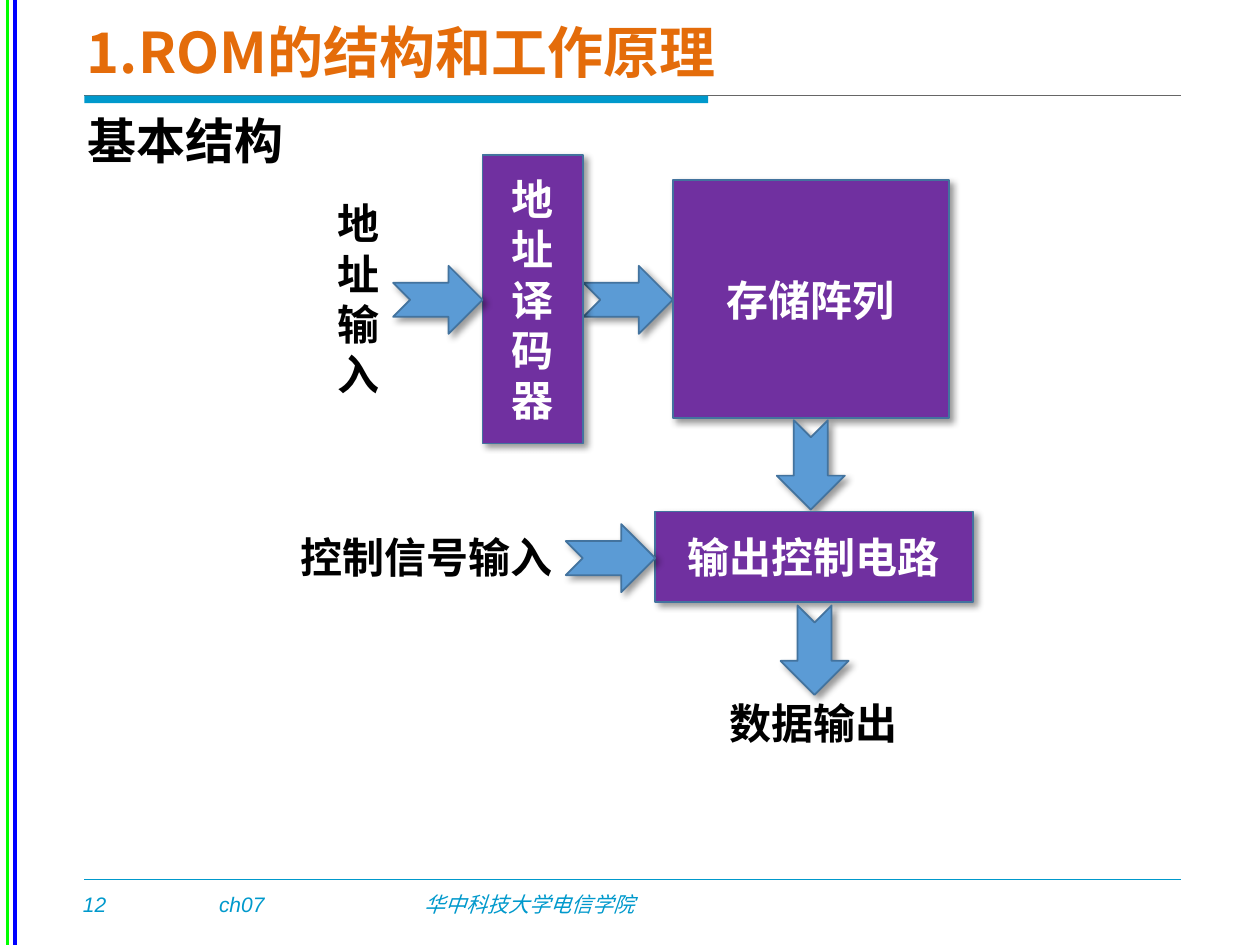
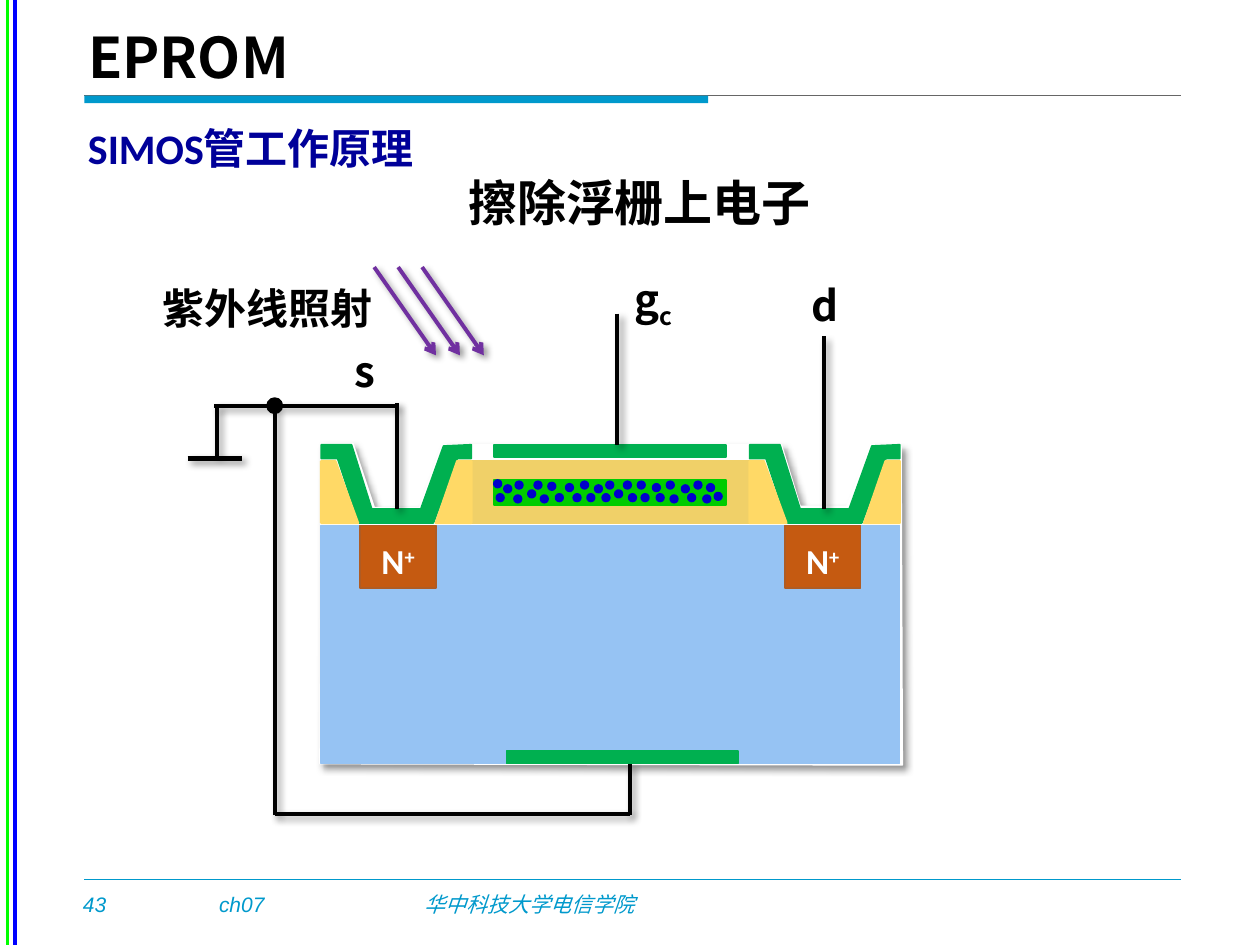
from dataclasses import dataclass

from lxml.etree import SubElement
from pptx import Presentation
from pptx.dml.color import RGBColor
from pptx.enum.shapes import MSO_CONNECTOR, MSO_SHAPE
from pptx.enum.text import MSO_ANCHOR, PP_ALIGN
from pptx.oxml.ns import qn
from pptx.util import Pt

PX = 9144  # EMU per px, 100 px to the inch


@dataclass(frozen=True)
class Theme:
    cjk: str = "Noto Sans CJK SC"
    latin: str = "Calibri"
    footer_font: str = "Arial"
    black: str = "000000"
    white: str = "FFFFFF"
    accent: str = "0099CC"
    rule: str = "666666"
    side_green: str = "00FF00"
    side_blue: str = "0000FF"
    orange: str = "E46C0A"
    navy: str = "000099"
    purple: str = "7030A0"
    arrow: str = "5B9BD5"
    arrow_line: str = "43739E"
    substrate: str = "96C3F3"
    oxide: str = "FFD966"
    gate_oxide: str = "F0D068"
    metal: str = "00B050"
    floating_gate: str = "00CC00"
    doped: str = "C55A11"
    doped_line: str = "AF5C24"
    electron: str = "0000CC"
    title: int = 32
    heading: int = 28
    body: int = 24
    label: int = 20
    footer: int = 12


THEME = Theme()

BACKDROP = [(255, 352), (254, 606), (716, 607), (715, 354), (691, 353),
            (672, 402), (635, 402), (620, 353), (351, 353), (333, 403),
            (297, 403), (280, 352)]
# Contact outlines, measured from the left edge of the contact
CONTACT_METAL = [(0, 353), (0, 364), (13, 364), (30, 415), (89, 415),
                 (108, 364), (119, 364), (119, 353), (97, 354), (79, 404),
                 (40, 404), (24, 353)]
LEFT_OXIDE = [(0, 366), (0, 415), (29, 415), (11, 366)]
RIGHT_OXIDE = [(119, 366), (119, 415), (91, 415), (108, 366)]
ELECTRONS = [
    (400, 385), (409, 382), (408, 393), (419, 389), (424, 382), (429, 393),
    (435, 383), (441, 392), (449, 384), (455, 392), (461, 382), (466, 392),
    (472, 385), (478, 392), (481, 382), (488, 389), (499, 392), (495, 382),
    (506, 382), (509, 392), (518, 384), (521, 392), (529, 382), (532, 393),
    (541, 385), (551, 382), (561, 384), (546, 392), (558, 393), (394, 392),
    (392, 381), (567, 391)]
WIRES = [
    ((654, 267), (654, 404)),
    ((315, 320), (315, 404)),
    ((490, 249), (490, 353)),
    ((500, 647), (500, 606)),
    ((172, 362), (172, 322)),
    ((170, 322), (315, 322)),
    ((218, 646), (500, 646)),
    ((218, 647), (218, 322)),
]


def rgb(color):
    return RGBColor.from_string(color)


def emu(lengths):
    return [length * PX for length in lengths]


def cast_shadow(effects):
    """Put a soft shadow to the lower right into an a:effectLst."""
    outer = SubElement(effects, qn("a:outerShdw"), blurRad="50800",
                       dist="38100", dir="2700000", algn="tl",
                       rotWithShape="0")
    black = SubElement(outer, qn("a:srgbClr"), val=THEME.black)
    SubElement(black, qn("a:alpha"), val="40000")


def write_text(frame, text, size=THEME.body, color=THEME.black,
               font=THEME.cjk, bold=True, italic=False, align=PP_ALIGN.LEFT,
               anchor=MSO_ANCHOR.TOP, spacing=None, wrap=True,
               script="", baseline=0):
    """Write one paragraph per line; script is a raised or lowered ending."""
    frame.word_wrap = wrap
    frame.vertical_anchor = anchor
    for index, line in enumerate(text.split("\n")):
        paragraph = frame.paragraphs[0] if index == 0 else frame.add_paragraph()
        paragraph.alignment = align
        if spacing:
            paragraph.line_spacing = spacing
        for part, offset in ((line, 0), (script, baseline)):
            if not part:
                continue
            run = paragraph.add_run()
            run.text = part
            run.font.size = Pt(size)
            run.font.bold = bold
            run.font.italic = italic
            run.font.color.rgb = rgb(color)
            run.font.name = font
            properties = run._r.get_or_add_rPr()
            SubElement(properties, qn("a:ea"), typeface=THEME.cjk)
            if offset:
                properties.set("baseline", str(offset * 1000))


def add_label(slide, box, text, **text_format):
    label = slide.shapes.add_textbox(*emu(box))
    write_text(label.text_frame, text, **text_format)


def paint(shape, fill, line=None, width=1, shadow=False):
    shape.fill.solid()
    shape.fill.fore_color.rgb = rgb(fill)
    shape.line.color.rgb = rgb(line or fill)
    shape.line.width = Pt(width)
    shape.shadow.inherit = False
    if shadow:
        cast_shadow(shape._element.spPr.find(qn("a:effectLst")))
    return shape


def add_preset(slide, preset, box, fill, **paint_format):
    return paint(slide.shapes.add_shape(preset, *emu(box)), fill, **paint_format)


def add_rect(slide, box, fill, **paint_format):
    return add_preset(slide, MSO_SHAPE.RECTANGLE, box, fill, **paint_format)


def add_polygon(slide, points, fill, left=0, **paint_format):
    corners = [(left + x, y) for x, y in points]
    builder = slide.shapes.build_freeform(*corners[0], scale=PX)
    builder.add_line_segments(corners[1:], close=True)
    return paint(builder.convert_to_shape(), fill, **paint_format)


def add_line(slide, start, end, color, width=1, shadow=False, arrowhead=False):
    line = slide.shapes.add_connector(MSO_CONNECTOR.STRAIGHT, *emu(start + end))
    line.line.color.rgb = rgb(color)
    line.line.width = Pt(width)
    if arrowhead:
        SubElement(line.line._get_or_add_ln(), qn("a:tailEnd"), type="arrow")
    effects = SubElement(line._element.spPr, qn("a:effectLst"))
    if shadow:
        cast_shadow(effects)


def add_block(slide, box, text):
    block = add_rect(slide, box, THEME.purple, line=THEME.arrow_line, shadow=True)
    write_text(block.text_frame, text, color=THEME.white,
               align=PP_ALIGN.CENTER, anchor=MSO_ANCHOR.MIDDLE)


def add_flow_arrow(slide, left, top, rotation=0):
    arrow = add_preset(slide, MSO_SHAPE.NOTCHED_RIGHT_ARROW, (left, top, 71, 54),
                       THEME.arrow, line=THEME.arrow_line, shadow=True)
    arrow.rotation = rotation


def add_base_slide(deck, number):
    """Add a blank slide with the side lines, title band and footer."""
    slide = deck.slides.add_slide(deck.slide_layouts[6])
    for x, color in ((12, THEME.side_blue), (6, THEME.side_green)):
        add_line(slide, (x, 0), (x, 750), color, width=2)
    add_line(slide, (67, 76), (937, 76), THEME.rule, width=0.5)
    band = add_rect(slide, (67, 76, 495, 6), THEME.accent)
    band.line.fill.background()
    add_line(slide, (67, 698), (937, 698), THEME.accent)
    for left, width, text in ((56, 41, number), (164, 80, "ch07"),
                              (327, 265, "华中科技大学电信学院")):
        add_label(slide, (left, 703, width, 30), text, size=THEME.footer,
                  color=THEME.accent, font=THEME.footer_font, bold=False,
                  italic=True, wrap=text != number)
    return slide


def add_contact(slide, left, doped_left):
    """Draw a metal contact with its oxide flanks and doped region."""
    add_polygon(slide, CONTACT_METAL, THEME.metal, left=left)
    for flank in (LEFT_OXIDE, RIGHT_OXIDE):
        add_polygon(slide, flank, THEME.oxide, left=left, width=1.5)
    doped = add_rect(slide, (doped_left, 417, 60, 50), THEME.doped,
                     line=THEME.doped_line)
    write_text(doped.text_frame, "N", script="+", baseline=30,
               size=THEME.label, color=THEME.white, font=THEME.latin,
               align=PP_ALIGN.CENTER, spacing=1.2)


def build_rom_structure(deck):
    slide = add_base_slide(deck, "12")
    add_label(slide, (59, 5, 721, 71), "1.ROM的结构和工作原理", size=THEME.title,
              color=THEME.orange, anchor=MSO_ANCHOR.MIDDLE)
    add_label(slide, (60, 83, 874, 57), "基本结构", size=THEME.heading)

    add_flow_arrow(slide, 463, 211)
    add_block(slide, (534, 143, 219, 189), "存储阵列")
    add_block(slide, (383, 123, 80, 229), "地\n址\n译\n码\n器")
    add_label(slide, (258, 152, 64, 172), "地址输入")
    add_flow_arrow(slide, 608, 342, rotation=90)
    add_block(slide, (520, 406, 252, 72), "输出控制电路")
    add_flow_arrow(slide, 611, 489, rotation=90)
    add_label(slide, (524, 549, 244, 50), "数据输出", align=PP_ALIGN.CENTER)
    add_flow_arrow(slide, 312, 211)
    add_flow_arrow(slide, 449, 416)
    add_label(slide, (228, 417, 221, 50), "控制信号输入", align=PP_ALIGN.CENTER)


def build_eprom(deck):
    slide = add_base_slide(deck, "43")
    add_label(slide, (60, 13, 912, 64), "EPROM", size=THEME.title)
    add_label(slide, (60, 84, 893, 56), "SIMOS管工作原理", color=THEME.navy,
              font=THEME.latin, spacing=1.2)
    add_label(slide, (290, 132, 435, 57), "擦除浮栅上电子", size=THEME.heading,
              align=PP_ALIGN.CENTER)

    add_polygon(slide, BACKDROP, THEME.white, shadow=True)
    add_rect(slide, (255, 417, 459, 189), THEME.substrate)
    add_rect(slide, (368, 366, 234, 49), THEME.gate_oxide)
    add_contact(slide, 255, 286)
    add_contact(slide, 595, 623)
    for left, top, height, color in ((392, 353, 10, THEME.metal),
                                     (392, 381, 20, THEME.floating_gate),
                                     (402, 596, 10, THEME.metal)):
        add_rect(slide, (left, top, 184, height), color)
    for left, top in ELECTRONS:
        add_preset(slide, MSO_SHAPE.OVAL, (left, top, 6, 6), THEME.electron)

    for start, end in WIRES:
        add_line(slide, start, end, THEME.black, width=2.25, shadow=True)
    add_line(slide, (149, 364), (192, 364), THEME.black, width=3, shadow=True)
    add_preset(slide, MSO_SHAPE.OVAL, (212, 316, 12, 12), THEME.black)
    for left, top, width, terminal, script in ((626, 217, 57, "d", ""),
                                               (264, 269, 51, "s", ""),
                                               (490, 212, 57, "g", "c")):
        add_label(slide, (left, top, width, 50), terminal, script=script,
                  baseline=-25, align=PP_ALIGN.CENTER)

    for x in (335, 316, 297):
        add_line(slide, (x, 212), (x + 49, 282), THEME.purple, width=2.25,
                 shadow=True, arrowhead=True)
    add_label(slide, (117, 219, 190, 50), "紫外线照射", align=PP_ALIGN.CENTER)


def main():
    deck = Presentation()
    deck.slide_width, deck.slide_height = emu((1000, 750))
    build_rom_structure(deck)
    build_eprom(deck)
    deck.save("out.pptx")


if __name__ == "__main__":
    main()
